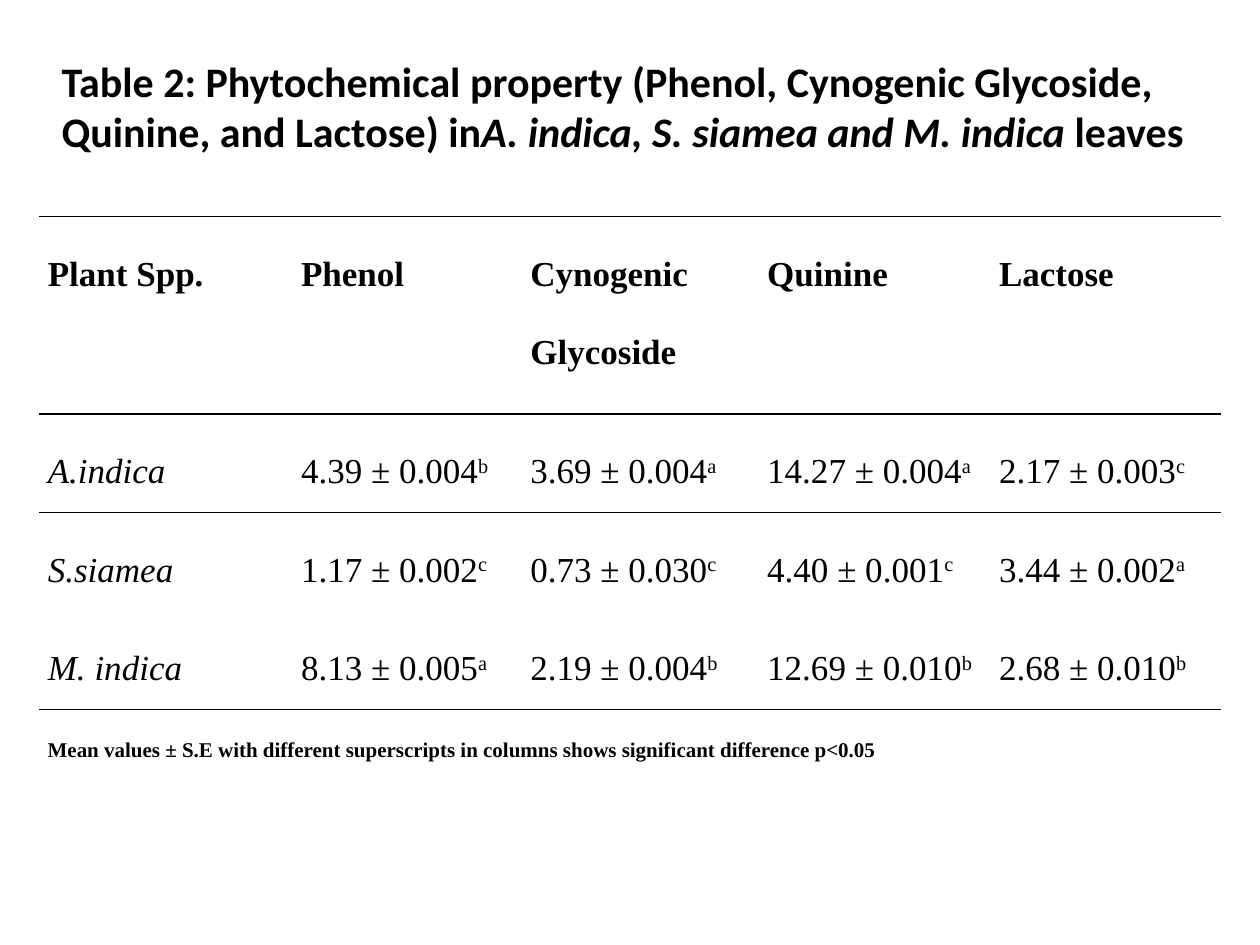
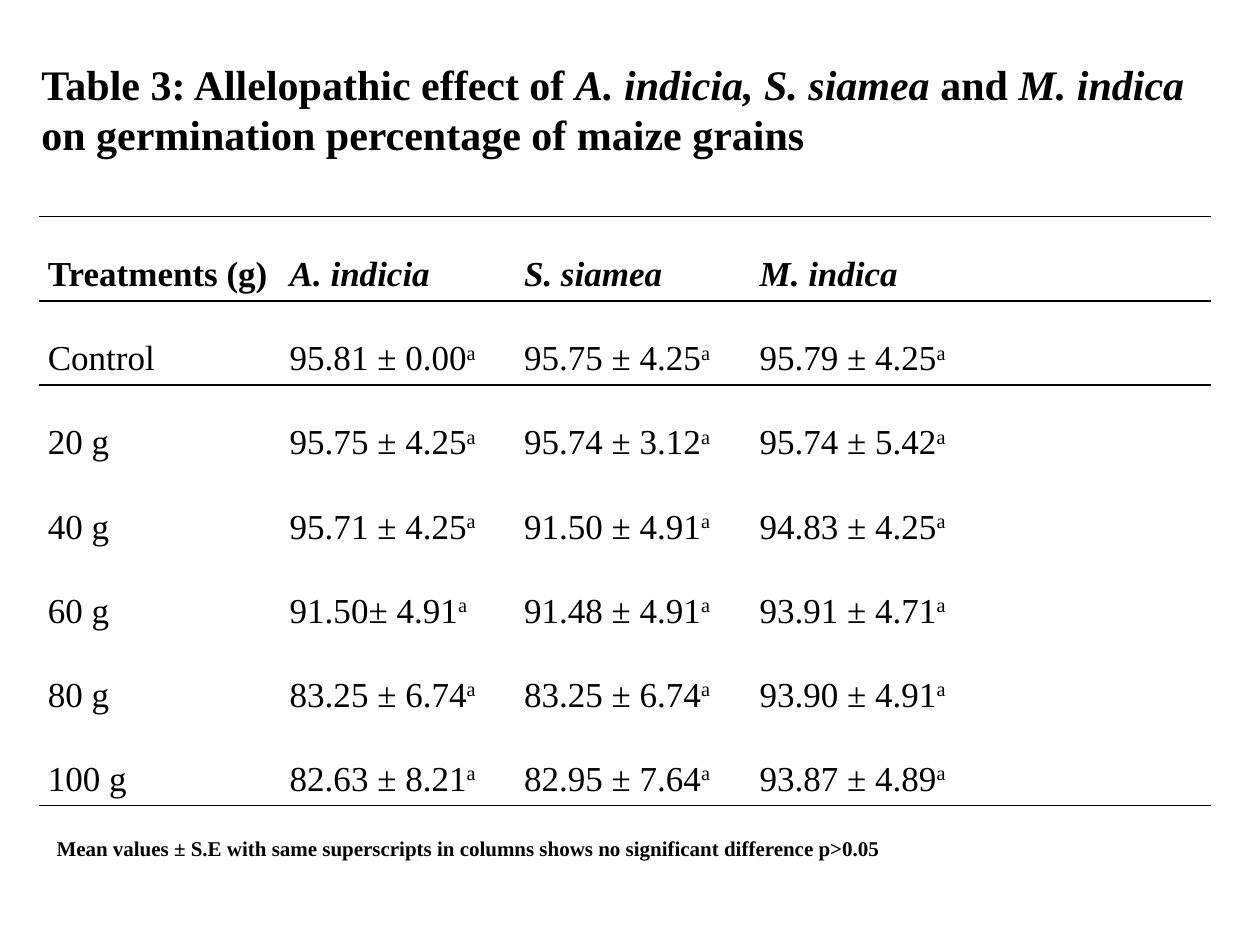
from dataclasses import dataclass
from lxml import etree
from pptx import Presentation
from pptx.dml.color import RGBColor
from pptx.enum.text import MSO_ANCHOR, PP_ALIGN
from pptx.oxml.ns import qn
from pptx.util import Inches, Pt

TOP = MSO_ANCHOR.TOP
JUSTIFY = PP_ALIGN.JUSTIFY
PLAIN = "{2D5ABB26-0587-4C30-8999-92F81FD0307C}"
WIDTH, HEIGHT = Inches(10), Inches(7.5)


@dataclass(frozen=True)
class Theme:
    """Colours, fonts, type sizes and line widths of the deck."""
    ink: str = "000000"
    serif: str = "Times New Roman"
    sans: str = "Calibri"
    title: int = 24
    body: int = 20
    note: int = 12
    rule: int = 1


THEME = Theme()
SPECIES = "*A. indicia*|*S. siamea*|*M. indica*"

PHYTO = (
    "Plant Spp.|Phenol|Cynogenic Glycoside|Quinine|Lactose",
    "*A.indica*|4.39 ± 0.004^b|3.69 ± 0.004^a|14.27 ± 0.004^a|2.17 ± 0.003^c",
    "*S.siamea*|1.17 ± 0.002^c|0.73 ± 0.030^c|4.40 ± 0.001^c|3.44 ± 0.002^a",
    "*M. indica*|8.13 ± 0.005^a|2.19 ± 0.004^b|12.69 ± 0.010^b|2.68 ± 0.010^b",
)

GERM = (
    f"Treatments (g)|{SPECIES}|",
    "Control|95.81 ± 0.00^a|95.75 ± 4.25^a|95.79 ± 4.25^a|",
    "20 g|95.75 ± 4.25^a|95.74 ± 3.12^a|95.74 ± 5.42^a|",
    "40 g|95.71 ± 4.25^a|91.50 ± 4.91^a|94.83 ± 4.25^a|",
    "60 g|91.50± 4.91^a|91.48 ± 4.91^a|93.91 ± 4.71^a|",
    "80 g|83.25 ± 6.74^a|83.25 ± 6.74^a|93.90 ± 4.91^a|",
    "100 g|82.63 ± 8.21^a|82.95 ± 7.64^a|93.87 ± 4.89^a|",
)


def across(share):
    """Turn a percentage of the slide width into a length."""
    return round(WIDTH * share / 100)


def down(share):
    """Turn a percentage of the slide height into a length."""
    return round(HEIGHT * share / 100)


def assign(thing, form):
    """Set each attribute named in a dict of format values."""
    for name, value in form.items():
        setattr(thing, name, value)


def write(para, text, size, face, bold):
    """Write text with *italic* spans and a ^superscript tail."""
    main, _, tail = text.partition("^")
    parts = [(part, num % 2 == 1, False)
             for num, part in enumerate(main.split("*"))]
    for part, slant, raised in parts + [(tail, False, True)]:
        if not part:
            continue
        run = para.add_run()
        run.text = part
        assign(run.font, {"size": Pt(size), "name": face,
                          "bold": bold, "italic": slant})
        run.font.color.rgb = RGBColor.from_string(THEME.ink)
        if raised:
            run._r.get_or_add_rPr().set("baseline", "30000")


def label(slide, place, text, size, face, form):
    """Add a bold text box placed by shares of the slide."""
    left, top, wide, high = place
    box = slide.shapes.add_textbox(
        across(left), down(top), across(wide), down(high))
    assign(box.text_frame, {"vertical_anchor": TOP, "word_wrap": True, **form})
    write(box.text_frame.paragraphs[0], text, size, face, True)


def note(slide, place, text):
    """Add the one-line remark below a table."""
    label(slide, place, text, THEME.note, THEME.serif, {"word_wrap": False})


def rule(cell, side):
    """Draw a line along the top or bottom side of a cell."""
    line = etree.Element(qn(f"a:ln{side}"), w=str(Pt(THEME.rule)))
    fill = etree.SubElement(line, qn("a:solidFill"))
    etree.SubElement(fill, qn("a:srgbClr"), val=THEME.ink)
    cell._tc.get_or_add_tcPr().insert(0, line)


def grid(slide, rows, widths, unit, head=1):
    """Add a ruled table whose header is a multiple of the row unit."""
    highs = [unit * head] + [unit] * (len(rows) - 1)
    frame = slide.shapes.add_table(
        len(rows), len(widths), across(3.1), down(22.93),
        across(sum(widths)), down(sum(highs)))
    table = frame.table
    assign(table, {"first_row": False, "horz_banding": False})
    frame._element.xpath(".//a:tableStyleId")[0].text = PLAIN
    for col, wide in zip(table.columns, widths):
        col.width = across(wide)
    for num, (row, high) in enumerate(zip(rows, highs)):
        table.rows[num].height = down(high)
        sides = "B" * (num in (0, len(rows) - 1)) + "T" * (num < 2)
        for cell, text in zip(table.rows[num].cells, row.split("|")):
            fill_cell(cell, text, num == 0, sides)


def fill_cell(cell, text, bold, sides):
    """Format one cell, write its text and draw its rules."""
    assign(cell, {"margin_left": Inches(0.07), "margin_right": Inches(0.07),
                  "margin_top": 0, "margin_bottom": 0})
    cell.fill.background()
    para = cell.text_frame.paragraphs[0]
    if text:
        assign(para, {"alignment": JUSTIFY, "line_spacing": 2.0})
        write(para, text, THEME.body, THEME.serif, bold)
    for side in sides:
        rule(cell, side)


def phyto(slide):
    """Build the slide on phytochemical properties."""
    grid(slide, PHYTO, (20.1, 18.2, 18.8, 18.4, 18.3), 10.43, head=2)
    label(slide, (3.9, 5.2, 91.4, 12.13),
          "Table 2: Phytochemical property (Phenol, Cynogenic Glycoside, "
          "Quinine, and Lactose) in*A. indica, S. siamea and M. indica* leaves",
          THEME.title, THEME.sans, {})
    note(slide, (2.8, 77.33, 68.9, 4),
         "Mean values ± S.E with different superscripts in columns "
         "shows significant difference p<0.05")


def germ(slide):
    """Build the slide on maize germination."""
    grid(slide, GERM, (19.2, 18.6, 18.7, 18.6, 17.9), 8.89)
    label(slide, (2.3, 4.27, 93.8, 18),
          "Table 3: Allelopathic effect of *A. indicia, S. siamea* and "
          "*M. indica* on germination percentage of maize grains",
          THEME.title, THEME.serif,
          {"margin_top": Inches(0.14), "margin_bottom": 0})
    note(slide, (3.5, 87.73, 68.5, 6.67),
         "Mean values ± S.E with same superscripts in columns "
         "shows no significant difference p>0.05")


def main():
    """Build both slides and save the deck."""
    deck = Presentation()
    assign(deck, {"slide_width": WIDTH, "slide_height": HEIGHT})
    for build in (phyto, germ):
        build(deck.slides.add_slide(deck.slide_layouts[6]))
    deck.save("out.pptx")


if __name__ == "__main__":
    main()
